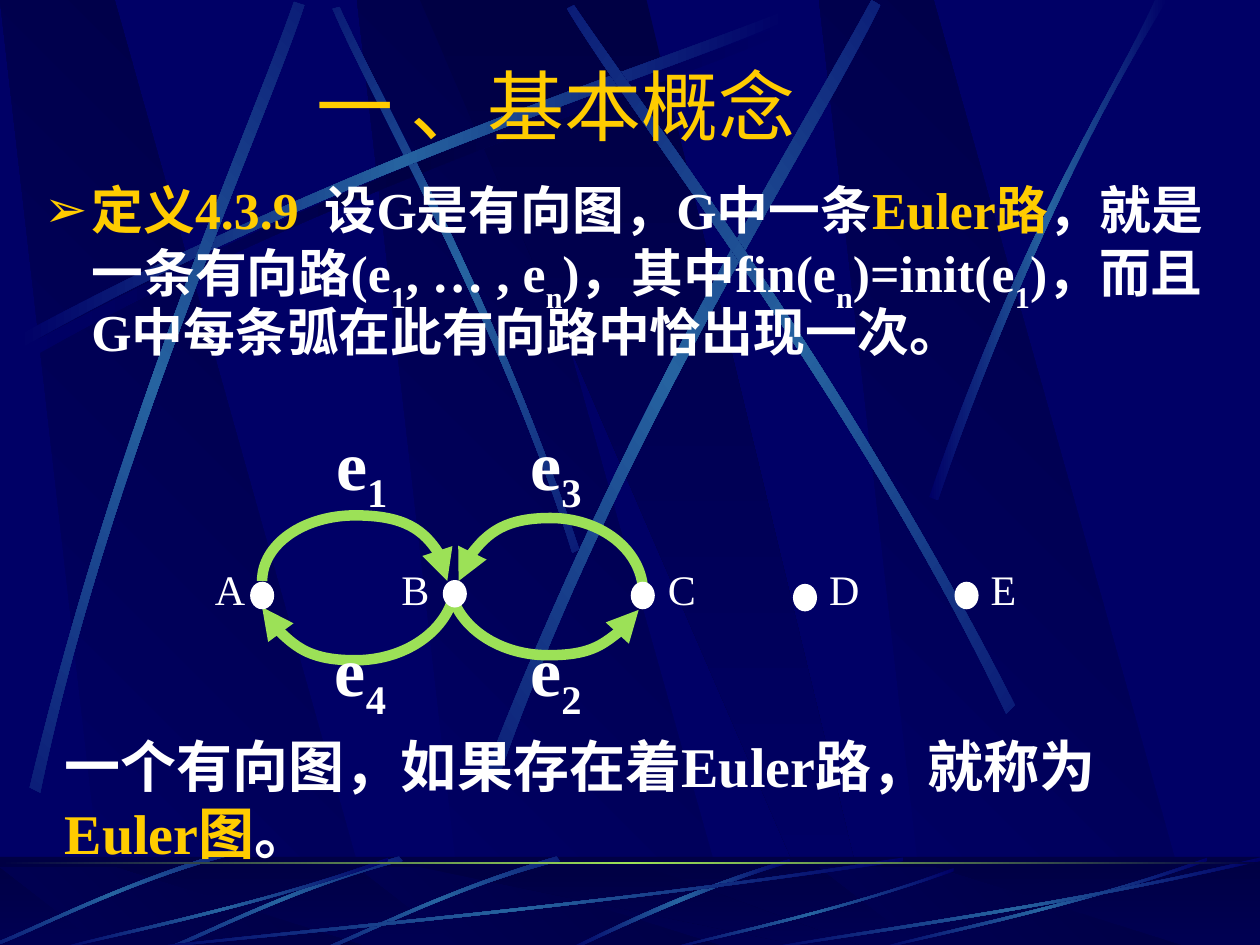
from copy import deepcopy
from math import cos, radians, sin

from lxml.etree import SubElement
from pptx import Presentation
from pptx.dml.color import RGBColor
from pptx.enum.shapes import MSO_SHAPE as Preset
from pptx.enum.text import MSO_ANCHOR as Anchor, MSO_AUTO_SIZE as AutoSize, PP_ALIGN as Align
from pptx.oxml.ns import qn
from pptx.util import Pt

COLORS = {"navy": "000066", "dark": "000044", "blue": "2663A0",
          "green": "9CE157", "gold": "FFCC00", "white": "FFFFFF"}
RGB = {name: RGBColor.from_string(value) for name, value in COLORS.items()}
SERIF = "Times New Roman"

deck = Presentation()
deck.slide_width, deck.slide_height = Pt(720), Pt(540)
page = deck.slides.add_slide(deck.slide_layouts[1])
master = deck.slide_master
master.background.fill.solid()
master.background.fill.fore_color.rgb = RGB["navy"]
shapes = page.shapes


def outline(edges, closed=True, turn=0):
    """Join straight edges (2 points) and Bezier edges (4 points), in a frame turned by degrees."""
    spin = complex(cos(radians(turn)), sin(radians(turn)))
    points, curve_ends, last = [], [], None
    for edge in edges:
        fresh = edge[1:] if edge[0] == last else edge
        flat = [complex(*point) / spin for point in fresh]
        points += [(Pt(point.real), Pt(point.imag)) for point in flat]
        last = edge[-1]
        if len(edge) == 4:
            curve_ends.append(len(points) - 1)
    builder = shapes.build_freeform(*points[0], scale=1.0)
    builder.add_line_segments(points[1:], close=closed)
    shape = builder.convert_to_shape()
    lines = list(shape._element.iter(qn("a:lnTo")))
    for end in curve_ends:
        first, second, third = lines[end - 3:end]
        first.tag = qn("a:cubicBezTo")
        for line in (second, third):
            first.append(line[0])
            line.getparent().remove(line)
    if turn:
        center = complex(shape.left + shape.width / 2, shape.top + shape.height / 2)
        shift = center * spin - center
        shape.left, shape.top = round(shape.left + shift.real), round(shape.top + shift.imag)
        shape.rotation = turn
    shape.shadow.inherit = False
    return shape


def paint(shape, names, angle=0):
    """Fill with one colour or an evenly spaced gradient, without a border."""
    shape.shadow.inherit = False
    shape.line.fill.background()
    if len(names) == 1:
        shape.fill.solid()
        shape.fill.fore_color.rgb = RGB[names[0]]
        return
    shape.fill.gradient()
    shape.fill.gradient_angle = angle
    stop_list = shape._element.spPr.find(qn("a:gradFill")).find(qn("a:gsLst"))
    for _ in names[2:]:
        stop_list.append(deepcopy(stop_list[0]))
    for index, (stop, name) in enumerate(zip(shape.fill.gradient_stops, names)):
        stop.position = index / (len(names) - 1)
        stop.color.rgb = RGB[name]


# Background: slanted panels on the wall and floor, each with its light streaks
wall_streaks = [
    ("dark", 0, [[(14, 198), (204, 96), (377, 42), (451, 13)],
                 [(453, 17), (380, 50), (183, 109), (17, 205)]]),
    ("blue", 45, [[(331, 314), (282, 168), (217, 55), (194, 4)],
                  [(190, 5), (212, 57), (287, 186), (327, 316)]]),
    ("blue", 0, [[(10, 192), (200, 90), (373, 37), (446, 7)],
                 [(449, 12), (376, 44), (179, 103), (12, 199)]]),
    ("blue", 311.7, [[(17, 450), (67, 240), (142, 76), (168, 1)],
                     [(174, 3), (149, 78), (62, 265), (23, 453)]]),
    ("blue", 321.6, [[(277, 442), (359, 230), (459, 73), (498, 0)],
                     [(503, 3), (467, 78), (350, 256), (284, 447)]]),
    ("blue", 34.8, [[(580, 403), (482, 211), (372, 68), (328, 3)],
                    [(324, 5), (365, 73), (493, 234), (575, 408)]]),
    ("blue", 0, [[(531, 284), (586, 125), (639, 48), (660, 0)],
                 [(667, 0), (602, 104), (554, 232), (536, 286)]]),
]
floor_streaks = [("blue", 0, [[(451, 491), (387, 510), (343, 534), (323, 543)],
                              [(326, 543.5), (353, 530.5), (411, 504), (452, 493)]])]
short_streak = [[(318, 489.5), (256, 507.5), (207, 533), (184, 542)],
                [(185, 543.5), (207, 535), (263, 506), (320, 492)]]
for dx, dy in [(0, 0), (-90, 0), (-185, -4)]:
    floor_streaks.append(("blue", 314.9, [[(x + dx, y + dy) for x, y in edge]
                                          for edge in short_streak]))
long_streak = [[(1, 0.04), (0.57, 0.57), (0.17, 0.85), (0, 1)],
               [(0, 0.99), (0.16, 0.81), (0.62, 0.51), (1, 0)]]
for left, top, width in [(72, 490, 444), (30, 490, 192), (379, 496, 166),
                         (498, 490, 192), (432, 490, 288)]:
    floor_streaks.append(("blue", 0, [[(left + x * width, top + y * (543.5 - top)) for x, y in edge]
                                      for edge in long_streak]))

for top, bottom, streaks in [(0, 541, wall_streaks), (495.5, 543.5, floor_streaks)]:
    on_floor = top > 0
    if on_floor:
        floor = shapes.add_shape(Preset.RECTANGLE, 0, Pt(489.5), Pt(720), Pt(54))
        paint(floor, ["dark", "navy"], 270)
    for left in (204, 0, 468):
        panel = outline([[(left + 62, bottom), (left + 217.5, bottom)],
                         [(left + 65.5, top), (left, top)]])
        paint(panel, ["navy", "dark"], 45)
    panel = outline([[(240, top), (474, bottom)], [(500, bottom), (369.5, top)]])
    paint(panel, ["dark", "navy"], 270)
    if on_floor:
        shade = shapes.add_shape(Preset.RECTANGLE, 0, Pt(489.5), Pt(720), Pt(54))
        paint(shade, ["dark"])
        color = shade._element.spPr.find(qn("a:solidFill"))[0]
        SubElement(color, qn("a:alpha"), val="50000")
    for glow, turn, edges in streaks:
        paint(outline(edges, turn=turn), ["navy", glow, "navy"])
horizon = shapes.add_shape(Preset.RECTANGLE, 0, Pt(492.5), Pt(720), Pt(1.5))
paint(horizon, ["dark", "green", "dark"])

# The background belongs to the slide master, behind its placeholders
backdrop = [shape for shape in shapes if not shape.is_placeholder]
for index, shape in enumerate(backdrop):
    shape._element.nvSpPr.cNvPr.set("id", str(100 + index))
    master.shapes._spTree.insert(2 + index, shape._element)

# Arcs of the directed graph, each ending at its arrowhead
arcs = [
    [(367.2, 334), (364.3, 312.5), (342, 296), (314.6, 296)],
    [(314.6, 296), (288.7, 296), (266.4, 311.8), (262.1, 332)],
    [(149.8, 332), (149.8, 311), (173.5, 294.5), (203, 294.5)],
    [(203, 294.5), (231.8, 294.5), (255.6, 311), (255.6, 332)],
    [(257.8, 345), (250.6, 363.6), (229, 377.3), (203, 377.3)],
    [(203, 377.3), (178.6, 377.3), (157.7, 364.3), (149.8, 347)],
    [(260, 345), (267.8, 362.2), (288.7, 374.4), (313.2, 374.4)],
    [(313.2, 374.4), (336.2, 374.4), (355.7, 363.6), (365, 348.5)],
]
for halves in zip(arcs[::2], arcs[1::2]):
    arc = outline(halves, closed=False)
    arc.fill.background()
    arc.line.color.rgb = RGB["green"]
    arc.line.width = Pt(6)
    SubElement(arc.line._get_or_add_ln(), qn("a:tailEnd"), type="triangle")

# Vertices
for left, top in [(453.5, 334), (545.8, 332.8), (143.3, 332.8), (253.4, 331.8), (360.8, 332.8)]:
    vertex = shapes.add_shape(Preset.OVAL, Pt(left), Pt(top), Pt(13), Pt(15))
    paint(vertex, ["white"])
    vertex.line.color.rgb = RGB["white"]
    vertex.line.width = Pt(0.75)

# Text: box, font, size, bold, spans of (text, colour, subscript percent)
texts = []
for letter, left in zip("ABCDE", (115.7, 222.3, 374.5, 466.7, 559)):
    box = shapes.add_textbox(Pt(left), Pt(318.6), Pt(31), Pt(36))
    box.text_frame.word_wrap = False
    texts.append((box, SERIF, 24, False, [(letter, "white", 0)]))
for number, left, top in [("1", 185, 236.6), ("2", 296, 354.6), ("3", 296, 236.6), ("4", 184.3, 354.6)]:
    box = shapes.add_textbox(Pt(left), Pt(top), Pt(44), Pt(62))
    box.text_frame.word_wrap = False
    texts.append((box, SERIF, 40, True, [("e", "white", 0), (number, "white", 25)]))

conclusion = shapes.add_textbox(Pt(30), Pt(414.3), Pt(666), Pt(84))
conclusion.text_frame.word_wrap = True
texts.append((conclusion, SERIF, 32, True, [
    ("一个有向图，如果存在着Euler路，就称为", "white", 0), ("Euler图", "gold", 0), ("。", "white", 0)]))

# Definition with an arrow bullet
body = page.placeholders[1]
body.left, body.top, body.width, body.height = Pt(18), Pt(102.2), Pt(690), Pt(168)
body.text_frame.auto_size = AutoSize.NONE
para = body.text_frame.paragraphs[0]
props = para._p.get_or_add_pPr()
props.set("marL", str(Pt(27)))
props.set("indent", str(-Pt(27)))
SubElement(SubElement(props, qn("a:buClr")), qn("a:srgbClr"), val=COLORS["gold"])
SubElement(props, qn("a:buChar"), char="➢")
para.line_spacing = 0.9
para.space_before = Pt(0)
texts.append((body, SERIF, 29.6, True, [
    ("定义4.3.9", "gold", 0), (" ", "gold", 0), ("设G是有向图，G中一条", "white", 0),
    ("Euler路", "gold", 0), ("，就是一条有向路(e", "white", 0), ("1", "white", 30),
    (", … , e", "white", 0), ("n", "white", 30), (")，其中fin(e", "white", 0), ("n", "white", 30),
    (")=init(e", "white", 0), ("1", "white", 30),
    (")，而且G中每条弧在此有向路中恰出现一次。", "white", 0)]))

# Title
title = shapes.title
title.left, title.top, title.width, title.height = Pt(12), Pt(29.5), Pt(612), Pt(60.5)
title.text_frame.auto_size = AutoSize.NONE
title.text_frame.vertical_anchor = Anchor.MIDDLE
title.text_frame.paragraphs[0].alignment = Align.CENTER
texts.append((title, "Montserrat", 44, False, [("一 、基本概念", "gold", 0)]))

for box, font_name, size, bold, spans in texts:
    para = box.text_frame.paragraphs[0]
    for text, color, drop in spans:
        span = para.add_run()
        span.text = text
        span.font.name, span.font.size, span.font.bold = font_name, Pt(size), bold
        span.font.color.rgb = RGB[color]
        if drop:
            span._r.get_or_add_rPr().set("baseline", str(-1000 * drop))
        if text == " ":
            span._r.get_or_add_rPr().set("spc", "740")

deck.save("out.pptx")
